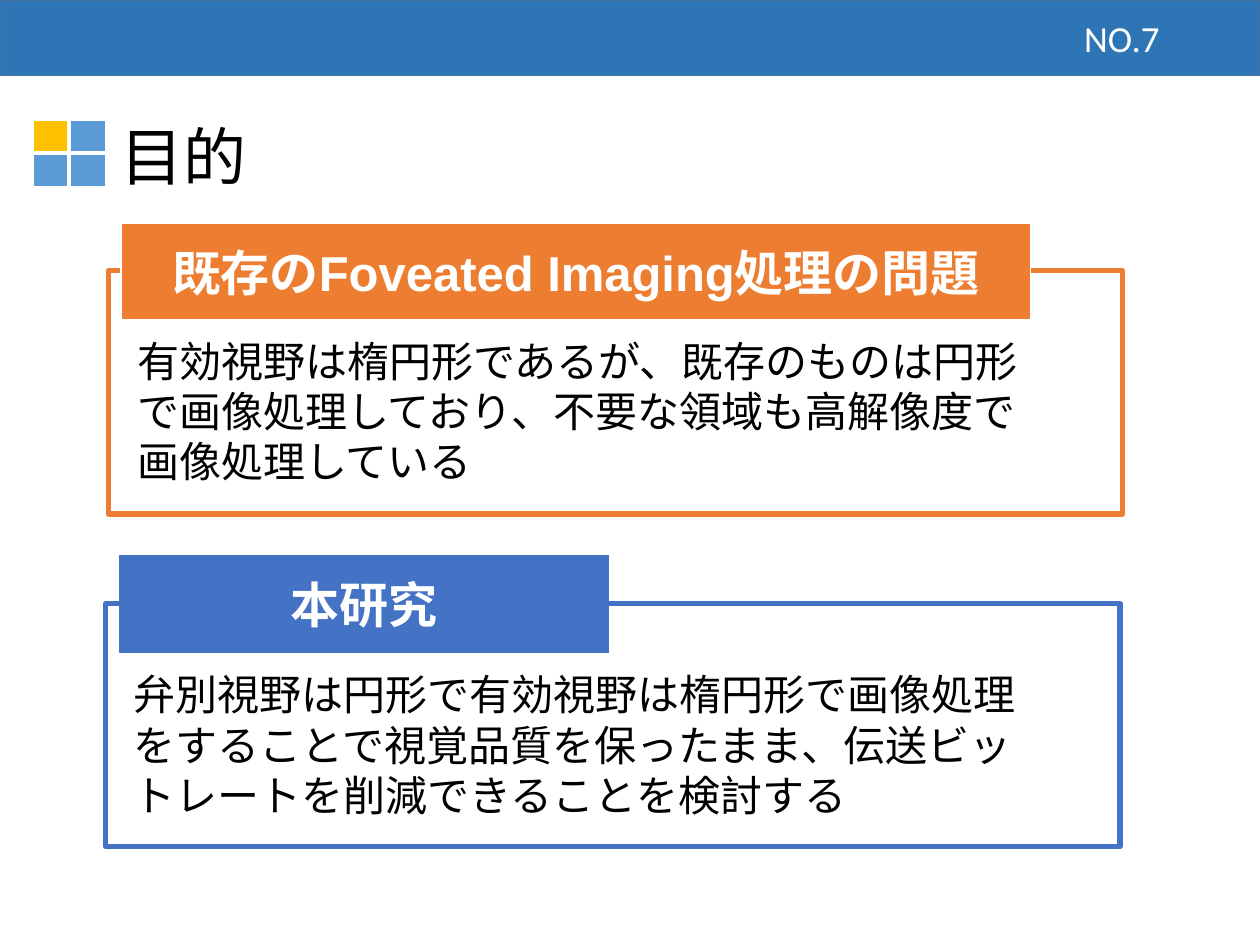
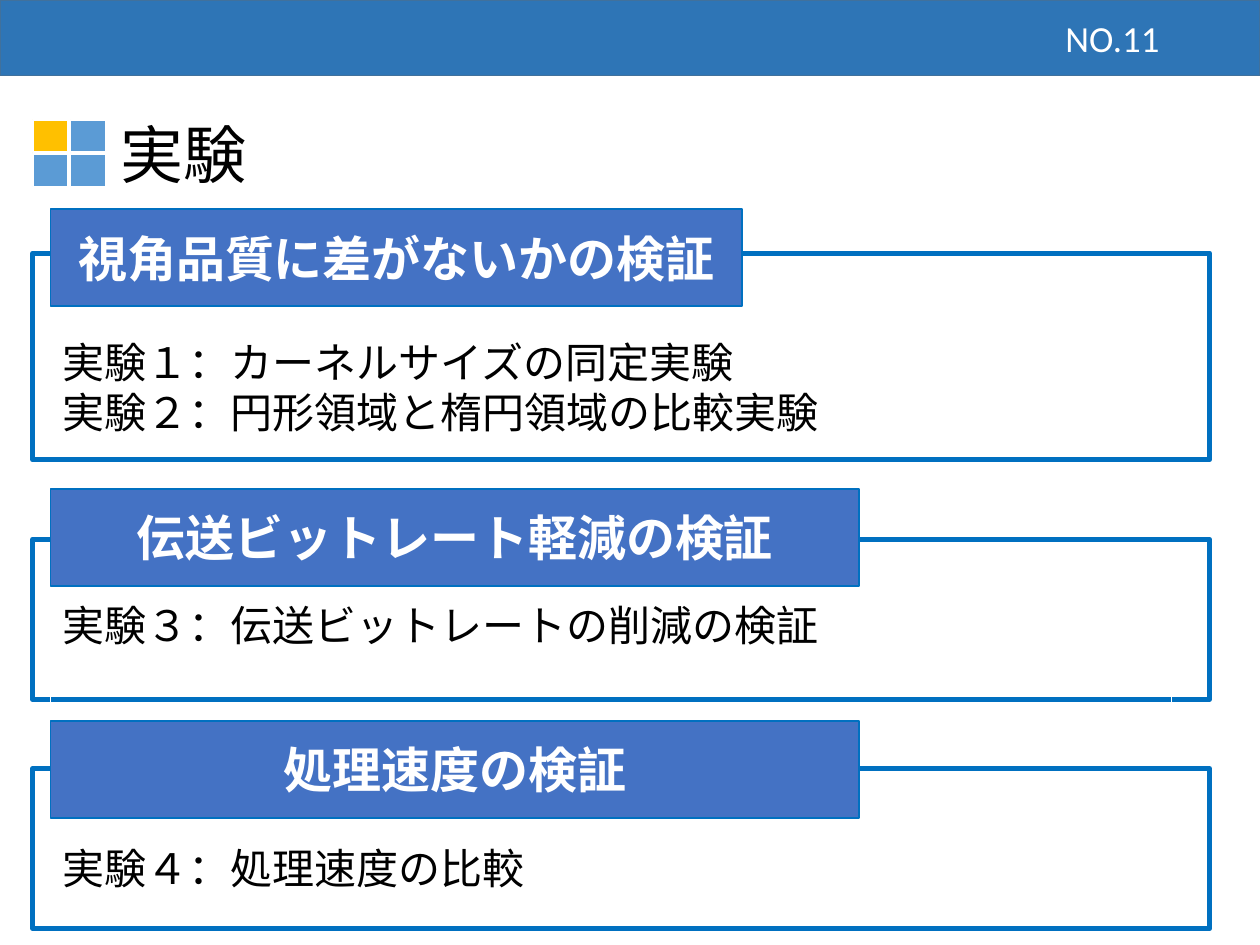
from pptx import Presentation
from pptx.dml.color import RGBColor
from pptx.enum.shapes import MSO_SHAPE
from pptx.enum.text import MSO_ANCHOR, PP_ALIGN
from pptx.util import Inches, Pt

RECT = MSO_SHAPE.RECTANGLE
TOP, MIDDLE = MSO_ANCHOR.TOP, MSO_ANCHOR.MIDDLE
LEFT, CENTER, RIGHT = PP_ALIGN.LEFT, PP_ALIGN.CENTER, PP_ALIGN.RIGHT

COLORS = {
    "band": "2E75B6", "band_line": "41719C", "tile": "5B9BD5", "accent": "FFC000",
    "orange": "ED7D31", "blue": "4472C4", "frame": "0070C0",
    "white": "FFFFFF", "black": "000000",
}


def add_text(sp, text, size=24, font="Arial", color="black", bold=False,
             align=LEFT, anchor=TOP, wrap=True):
    tf = sp.text_frame
    tf.word_wrap = wrap
    tf.vertical_anchor = anchor
    for i, line in enumerate(text.split("\n")):
        p = tf.add_paragraph() if i else tf.paragraphs[0]
        p.alignment = align
        r = p.add_run()
        r.text = line
        r.font.size = Pt(size)
        r.font.name = font
        r.font.bold = bold
        r.font.color.rgb = RGBColor.from_string(COLORS[color])


def add_rect(s, box, fill, line, width=1):
    sp = s.shapes.add_shape(RECT, *map(Inches, box))
    sp.shadow.inherit = False
    if fill:
        sp.fill.solid()
        sp.fill.fore_color.rgb = RGBColor.from_string(COLORS[fill])
    else:
        sp.fill.background()
    if line:
        sp.line.color.rgb = RGBColor.from_string(COLORS[line])
        sp.line.width = Pt(width)
    else:
        sp.line.fill.background()
    return sp


SLIDES = [
    {
        "number": "NO.7", "title": "目的", "title_top": 0.88,
        "sections": [
            {"frame": (0.86, 2.15, 8.05, 1.93), "frame_line": "orange",
             "head": (0.96, 1.77, 7.22, 0.77), "head_fill": "orange", "head_line": "white",
             "heading": "既存のFoveated Imaging処理の問題", "head_font": "Arial",
             "body": (0.99, 2.61, 7.19, 1.72), "body_line": None, "body_font": "Calibri",
             "text": "有効視野は楕円形であるが、既存のものは円形で画像処理しており、"
                     "不要な領域も高解像度で画像処理している"},
            {"frame": (0.84, 4.79, 8.05, 1.93), "frame_line": "blue",
             "head": (0.95, 4.41, 3.88, 0.77), "head_fill": "blue", "head_line": "blue",
             "heading": "本研究", "head_font": "Calibri",
             "body": (0.96, 5.26, 7.22, 1.31), "body_line": None, "body_font": "Arial",
             "text": "弁別視野は円形で有効視野は楕円形で画像処理をすることで"
                     "視覚品質を保ったまま、伝送ビットレートを削減できることを検討する"},
        ],
    },
    {
        "number": "NO.11", "title": "実験", "title_top": 0.87,
        "sections": [
            {"frame": (0.26, frame_top, 9.34, frame_height), "frame_line": "frame",
             "head": (0.4, head_top, head_width, 0.77), "head_fill": "blue",
             "head_line": "frame", "heading": heading, "head_font": head_font,
             "body": (0.4, body_top, body_width, body_height), "body_line": "white",
             "body_font": "Arial", "text": text}
            for (frame_top, frame_height, head_top, head_width, heading, head_font,
                 body_top, body_width, body_height, text) in [
                (2.01, 1.64, 1.66, 5.49, "視角品質に差がないかの検証", "Calibri",
                 2.62, 7.22, 0.91,
                 "実験１：カーネルサイズの同定実験\n実験２：円形領域と楕円領域の比較実験"),
                (4.28, 1.27, 3.88, 6.42, "伝送ビットレート軽減の検証", "Arial",
                 4.71, 8.9, 0.91, "実験３：伝送ビットレートの削減の検証"),
                (6.1, 1.27, 5.72, 6.42, "処理速度の検証", "Arial",
                 6.64, 8.78, 0.5, "実験４：処理速度の比較"),
            ]
        ],
    },
]

prs = Presentation()
prs.slide_width = Inches(10)
prs.slide_height = Inches(7.5)

for page in SLIDES:
    s = prs.slides.add_slide(prs.slide_layouts[6])
    add_rect(s, (0, 0, 10, 0.6), "band", "band_line")
    sp = s.shapes.add_textbox(Inches(7.99), Inches(0.05), Inches(1.31), Inches(0.5))
    add_text(sp, page["number"], size=21, font="Calibri", color="white",
             align=RIGHT, anchor=MIDDLE)
    sp = s.shapes.add_textbox(Inches(0.86), Inches(page["title_top"]),
                              Inches(1.21), Inches(0.71))
    add_text(sp, page["title"], size=36, wrap=False)

    for row in range(2):
        for col in range(2):
            fill = "tile" if row or col else "accent"
            add_rect(s, (0.26 + 0.3 * col, 0.95 + 0.27 * row, 0.28, 0.26), fill, "white")

    for section in page["sections"]:
        add_rect(s, section["frame"], "white", section["frame_line"], width=3)
        sp = add_rect(s, section["head"], section["head_fill"], section["head_line"])
        add_text(sp, section["heading"], size=28, font=section["head_font"],
                 color="white", bold=True, align=CENTER, anchor=MIDDLE)
        sp = add_rect(s, section["body"], None, section["body_line"], width=0.75)
        add_text(sp, section["text"], font=section["body_font"])

prs.save("out.pptx")
